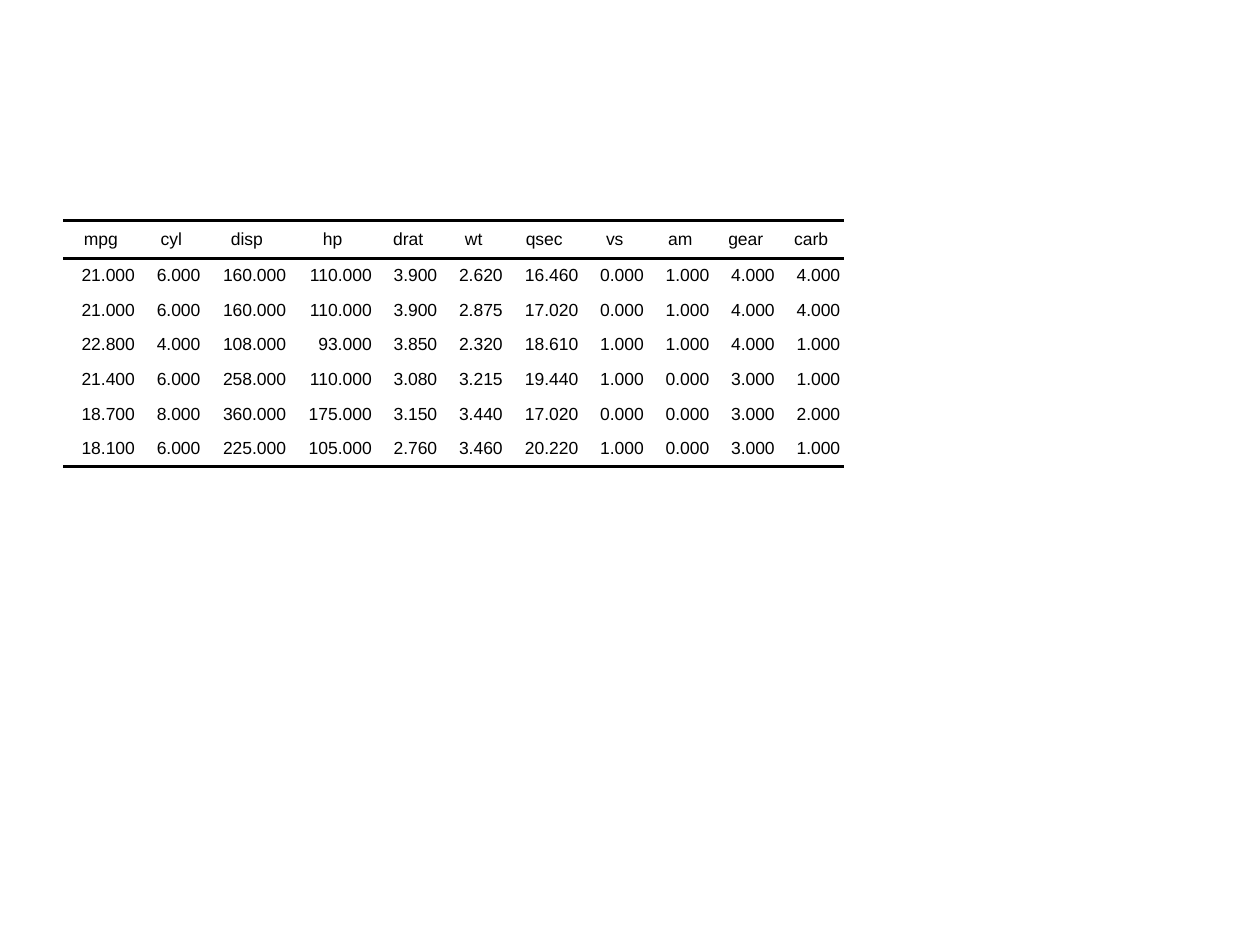
"""Build a slide with a ruled table of car measurements."""
from lxml.etree import SubElement
from pptx import Presentation
from pptx.dml.color import RGBColor
from pptx.enum.text import MSO_ANCHOR as Anchor, PP_ALIGN as Align
from pptx.oxml.ns import qn
from pptx.util import Inches, Pt

INK = "000000"
NO_GRID_STYLE = "{2D5ABB26-0587-4C30-8999-92F81FD0307C}"


def color(hex_code):
    return RGBColor.from_string(hex_code)


def add_rule(cell, side):
    rule = SubElement(cell._tc.get_or_add_tcPr(), qn(f"a:{side}"), w=str(Pt(2)))
    fill = SubElement(rule, qn("a:solidFill"))
    SubElement(fill, qn("a:srgbClr"), val=INK)


measures = ["mpg", "cyl", "disp", "hp", "drat", "wt", "qsec", "vs", "am", "gear", "carb"]
cars = [
    [21, 6, 160, 110, 3.9, 2.62, 16.46, 0, 1, 4, 4],
    [21, 6, 160, 110, 3.9, 2.875, 17.02, 0, 1, 4, 4],
    [22.8, 4, 108, 93, 3.85, 2.32, 18.61, 1, 1, 4, 1],
    [21.4, 6, 258, 110, 3.08, 3.215, 19.44, 1, 0, 3, 1],
    [18.7, 8, 360, 175, 3.15, 3.44, 17.02, 0, 0, 3, 2],
    [18.1, 6, 225, 105, 2.76, 3.46, 20.22, 1, 0, 3, 1],
]
lines = [measures] + [[f"{value:.3f}" for value in car] for car in cars]
width_by_digits = {5: 0.52, 6: 0.6, 7: 0.68}
widths = [width_by_digits[max(map(len, column))] for column in zip(*lines[1:])]
header_height, body_height = 0.3, 1.65

deck = Presentation()
deck.slide_width, deck.slide_height = Inches(10), Inches(7.5)
slide = deck.slides.add_slide(deck.slide_layouts[6])

frame = slide.shapes.add_table(
    len(lines), len(measures), Inches(0.5), Inches(1.75),
    Inches(sum(widths)), Inches(header_height + body_height))
car_table = frame.table
car_table.first_row = car_table.horz_banding = False
car_table._tbl.tblPr.find(qn("a:tableStyleId")).text = NO_GRID_STYLE

for column, width in zip(car_table.columns, widths):
    column.width = Inches(width)

for row_index, line in enumerate(lines):
    is_header = row_index == 0
    row = car_table.rows[row_index]
    row.height = Inches(header_height if is_header else body_height / len(cars))
    for cell, text in zip(row.cells, line):
        cell.text = text
        cell.vertical_anchor = Anchor.MIDDLE
        cell.margin_left = cell.margin_right = cell.margin_top = cell.margin_bottom = 0
        if is_header:
            add_rule(cell, "lnT")
        if is_header or row_index == len(cars):
            add_rule(cell, "lnB")
        cell.fill.background()
        paragraph = cell.text_frame.paragraphs[0]
        paragraph.alignment = Align.CENTER if is_header else Align.RIGHT
        paragraph.space_before = paragraph.space_after = Pt(2)
        for side in ("marL", "marR"):
            paragraph._p.get_or_add_pPr().set(side, str(Inches(0.03)))
        paragraph.font.name = "Arial"
        paragraph.font.size = Pt(10)
        paragraph.font.color.rgb = color(INK)

deck.save("out.pptx")
